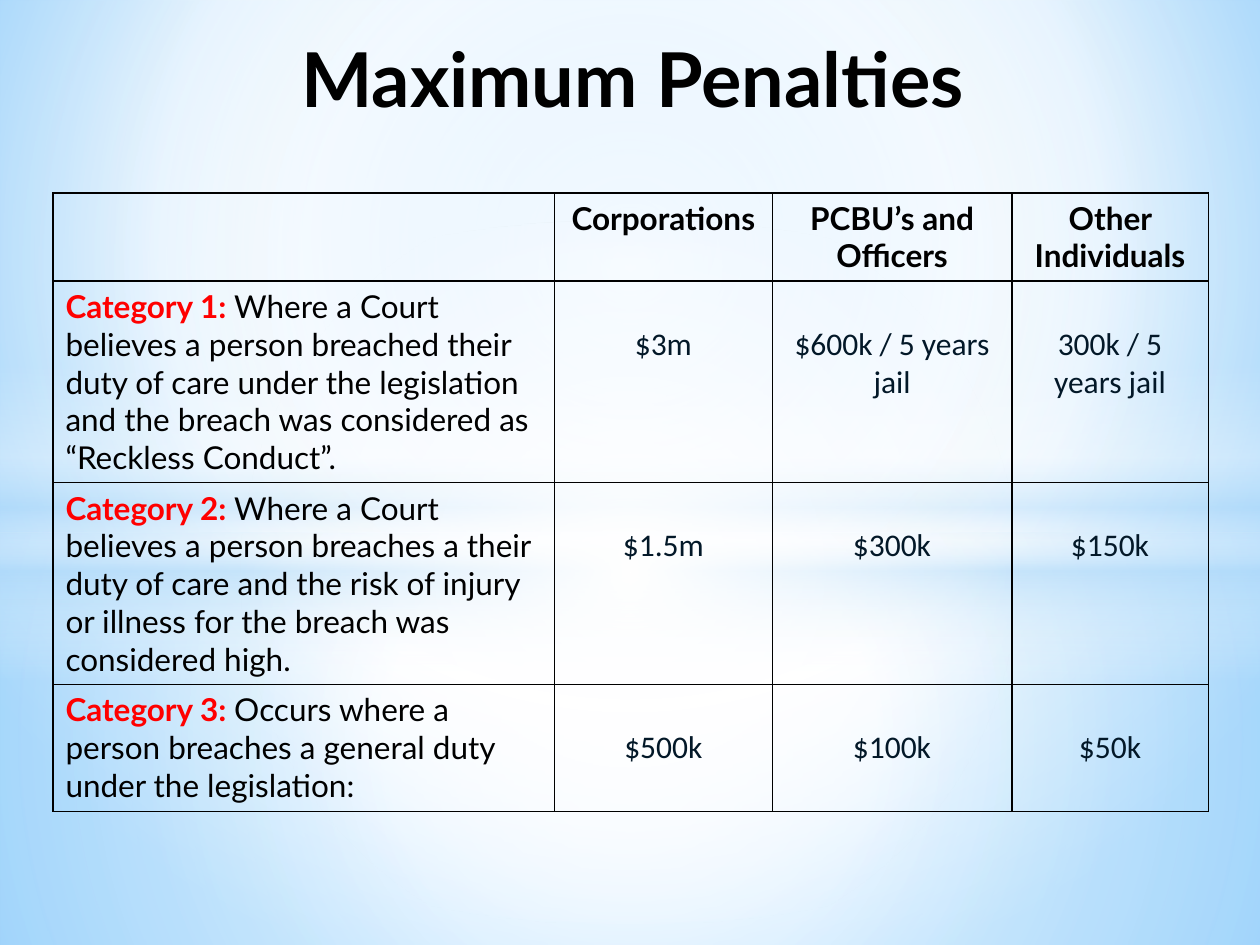
"""Build the Maximum Penalties slide: soft blue backdrop, title and penalty table."""
from lxml.etree import SubElement
from pptx import Presentation
from pptx.dml.color import RGBColor
from pptx.enum.shapes import MSO_SHAPE
from pptx.enum.text import MSO_ANCHOR, PP_ALIGN
from pptx.oxml.ns import qn
from pptx.util import Inches, Pt

COLORS = {"black": "000000", "red": "FF0000", "navy": "031828", "white": "FFFFFF",
          "sky": "9ED5FF", "blue": "5BB9FF", "pale": "B4DCFA"}


def set_gradient(fill, owner, stops, focus=None):
    """Give owner a gradient of (position, color, opacity): radial with a focus, else vertical."""
    fill.gradient()
    gradient = owner.find(".//" + qn("a:gradFill"))
    for child in list(gradient):
        gradient.remove(child)
    stop_list = SubElement(gradient, qn("a:gsLst"))
    for position, color, opacity in stops:
        stop = SubElement(stop_list, qn("a:gs"), pos=str(position * 1000))
        tint = SubElement(stop, qn("a:srgbClr"), val=COLORS[color])
        SubElement(tint, qn("a:alpha"), val=str(opacity * 1000))
    if focus:
        radial = SubElement(gradient, qn("a:path"))
        radial.set("path", "circle")
        SubElement(radial, qn("a:fillToRect"),
                   {side: str(share * 1000) for side, share in zip("ltrb", focus)})
    else:
        SubElement(gradient, qn("a:lin"), ang="5400000", scaled="0")


def style_font(font, name, size, color, bold):
    """Set typeface, size, color and weight."""
    font.name, font.size, font.bold = name, Pt(size), bold
    font.color.rgb = RGBColor.from_string(COLORS[color])


deck = Presentation()
deck.slide_width, deck.slide_height = Inches(10), Inches(7.5)
page = deck.slides.add_slide(deck.slide_layouts[5])

set_gradient(page.background.fill, page.element,
             [(0, "sky", 100), (60, "white", 100), (100, "blue", 100)], (20, 10, 20, 60))

center = (50, 50, 50, 50)
backdrop = [
    (MSO_SHAPE.RECTANGLE, 4.23, 3.27,
     [(0, "white", 91), (37, "white", 76), (100, "pale", 79)], center),
    (MSO_SHAPE.RECTANGLE, 0, 4.23,
     [(0, "white", 89), (48, "white", 62), (100, "pale", 79)], center),
    (MSO_SHAPE.RECTANGLE, 2.9, 2.5,
     [(0, "white", 0), (29, "white", 30), (45, "pale", 40),
      (55, "white", 26), (65, "pale", 60), (100, "white", 0)], None),
    (MSO_SHAPE.OVAL, 1.75, 5.58, [(0, "white", 100), (54, "white", 0)], center),
]
for kind, top, height, stops, focus in backdrop:
    panel = page.shapes.add_shape(kind, 0, Inches(top), deck.slide_width, Inches(height))
    panel.shadow.inherit = False
    panel.line.fill.background()
    set_gradient(panel.fill, panel.element, stops, focus)

title = page.shapes.title
title.element.getparent().append(title.element)
title.left, title.top, title.width, title.height = map(Inches, (0.67, 0.2, 8.5, 0.83))
title.text_frame.text = "Maximum Penalties"
title.text_frame.vertical_anchor = MSO_ANCHOR.MIDDLE
title.text_frame.margin_left = Inches(0.3)
para = title.text_frame.paragraphs[0]
para.alignment = PP_ALIGN.CENTER
style_font(para.font, "Lato", 43.2, "black", True)

headers = ["", "Corporations", "PCBU’s and Officers", "Other Individuals"]
categories = [
    ("Category 1: ", "Where a Court believes a person breached their duty of care under the "
     "legislation and the breach was considered as “Reckless Conduct”.",
     ["$3m", "$600k / 5 years jail", "300k / 5 years jail"]),
    ("Category 2: ", "Where a Court believes a person breaches a their duty of care and the "
     "risk of injury or illness for the breach was considered high.",
     ["$1.5m", "$300k", "$150k"]),
    ("Category 3: ", "Occurs where a person breaches a general duty under the legislation:",
     ["$500k", "$100k", "$50k"]),
]
widths = [3.98, 1.73, 1.9, 1.56]
heights = [0.7, 1.6, 1.6, 1.01]
table = page.shapes.add_table(len(heights), len(widths), Inches(0.42), Inches(1.53),
                              Inches(sum(widths)), Inches(sum(heights))).table
table.first_row = table.horz_banding = False
for column, width in zip(table.columns, widths):
    column.width = Inches(width)
for row, height in zip(table.rows, heights):
    row.height = Inches(height)

for cell in table.iter_cells():
    cell.fill.background()
    properties = cell._tc.get_or_add_tcPr()
    for index, edge in enumerate(("a:lnL", "a:lnR", "a:lnT", "a:lnB")):
        border = SubElement(properties, qn(edge), w=str(Pt(1)))
        SubElement(SubElement(border, qn("a:solidFill")), qn("a:srgbClr"), val=COLORS["black"])
        properties.insert(index, border)

for column, header in enumerate(headers):
    cell = table.cell(0, column)
    cell.text = header
    para = cell.text_frame.paragraphs[0]
    para.alignment = PP_ALIGN.CENTER
    style_font(para.font, "Lato", 18, "black", True)

for row, (label, description, penalties) in enumerate(categories, 1):
    para = table.cell(row, 0).text_frame.paragraphs[0]
    for text, color, bold in ((label, "red", True), (description, "black", False)):
        span = para.add_run()
        span.text = text
        style_font(span.font, "Lato", 18, color, bold)
    for column, penalty in enumerate(penalties, 1):
        cell = table.cell(row, column)
        cell.text = penalty
        cell.margin_top = Inches(0.35)
        para = cell.text_frame.paragraphs[0]
        para.alignment = PP_ALIGN.CENTER
        style_font(para.font, "Calibri", 18, "navy", False)

deck.save("out.pptx")
